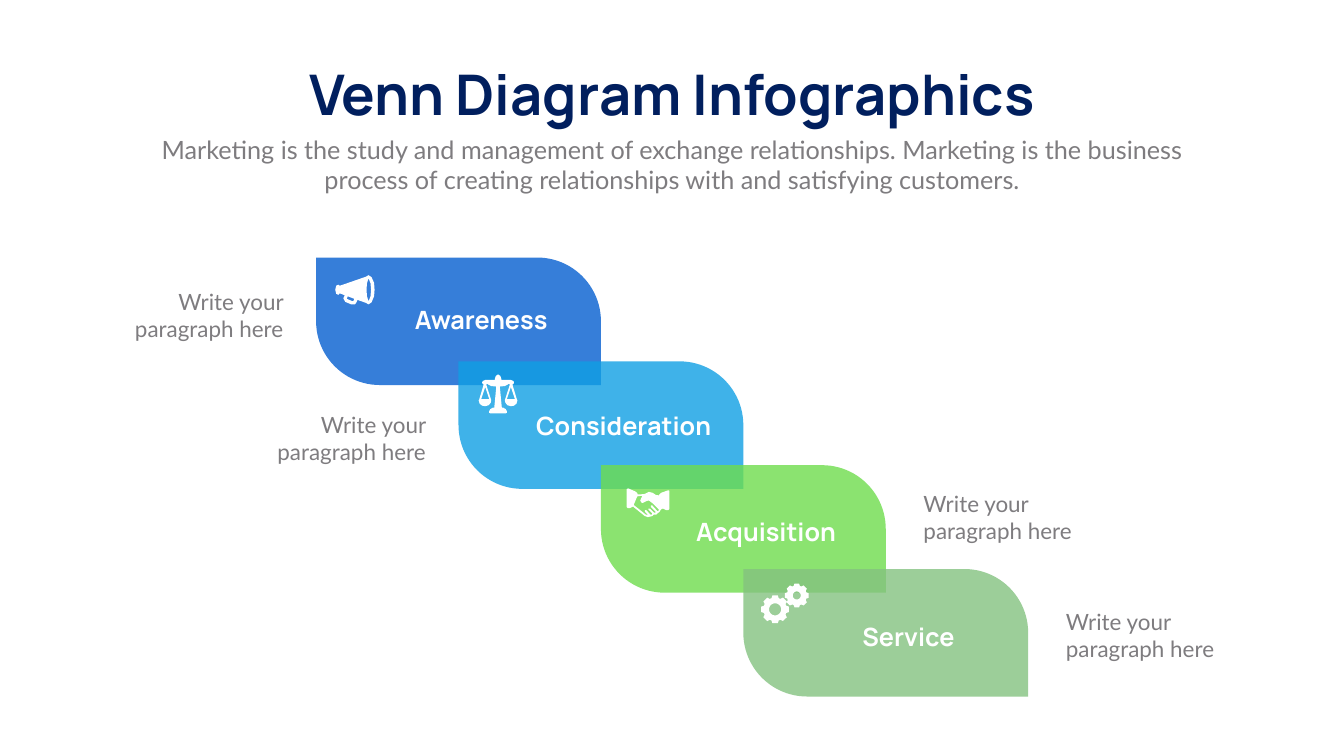
from dataclasses import dataclass
from math import cos, radians, sin

from lxml import etree
from pptx import Presentation
from pptx.dml.color import RGBColor
from pptx.enum.shapes import MSO_SHAPE
from pptx.enum.text import MSO_ANCHOR, MSO_AUTO_SIZE, PP_ALIGN
from pptx.oxml.ns import qn
from pptx.util import Inches, Pt

LEFT, CENTER, RIGHT = PP_ALIGN.LEFT, PP_ALIGN.CENTER, PP_ALIGN.RIGHT
TOP = MSO_ANCHOR.TOP
GROW = MSO_AUTO_SIZE.SHAPE_TO_FIT_TEXT
PETAL = MSO_SHAPE.ROUND_2_DIAG_RECTANGLE
TITLE_ONLY = 5


@dataclass(frozen=True)
class Style:
    font: str
    size: int
    color: str
    bold: bool = False


class Theme:
    white = "FFFFFF"
    petal_opacity = 80
    title = Style("Manrope", 80, "011F5E", True)
    subtitle = Style("Lato", 36, "7E7C7F")
    label = Style("Manrope", 36, white, True)
    note = Style("Lato", 32, "7E7C7F")


@dataclass(frozen=True)
class Stage:
    """Offsets are inches from the top left corner of the petal."""
    name: str
    color: str
    label_top: float
    note_top: float
    note_side: PP_ALIGN
    icon_at: tuple
    icon: list


def circle(x, y, radius, count=32):
    return [(x + radius * cos(radians(360 * i / count)),
             y + radius * sin(radians(360 * i / count))) for i in range(count)]


def gear(x, y, radius, hole, teeth=8):
    tooth = ((-18, 0.83), (-11, 1), (11, 1), (18, 0.83))
    outline = []
    for i in range(teeth):
        for turn, share in tooth:
            angle = radians(360 * i / teeth + turn)
            outline.append((x + radius * share * cos(angle),
                            y + radius * share * sin(angle)))
    return [outline, circle(x, y, hole)]


def mirror(points, width):
    return [(width - x, y) for x, y in reversed(points)]


# Icon outlines in hundredths of an inch; inner contours are holes.
MEGAPHONE = [
    [(66, 0), (61, 3), (9, 21), (6, 19), (2, 21), (0, 29), (2, 37), (6, 39),
     (9, 36), (19, 40), (16, 46), (20, 53), (32, 58), (39, 58), (42, 54),
     (44, 49), (61, 55), (66, 58), (72, 54), (77, 42), (78, 29), (77, 15),
     (72, 4)],
    [(36, 51), (35, 52), (23, 47), (23, 46), (25, 42), (38, 47)],
    [(66, 52), (63, 42), (62, 29), (63, 16), (66, 6), (70, 16), (71, 29),
     (70, 42)],
]
SCALES_WIDTH = 77
HALF_SCALES = [
    (38.5, 0), (34, 3), (32, 9), (32, 11), (13, 11), (8, 13), (7, 16), (8, 19),
    (10, 20), (1, 50), (0, 51), (2, 58), (7, 62), (13, 63), (20, 61), (24, 56),
    (25, 51), (15, 20), (17, 19), (25, 23), (35, 24), (31, 66), (28, 66),
    (23, 69), (21, 73), (21, 76), (23, 77)]
PAN_GAP = [(5, 49), (13, 25), (21, 49)]
SCALES = [HALF_SCALES + mirror(HALF_SCALES, SCALES_WIDTH),
          PAN_GAP, mirror(PAN_GAP, SCALES_WIDTH)]
HANDSHAKE = [
    [(84, 4), (82, 4), (68, 9), (64, 13), (64, 14), (58, 13), (52, 9), (44, 7),
     (36, 11), (27, 12), (22, 12), (21, 9), (17, 6), (3, 0), (1, 1), (0, 2),
     (0, 37), (2, 39), (7, 39), (13, 36), (15, 38), (36, 55), (42, 57),
     (47, 56), (51, 55), (54, 52), (59, 52), (62, 49), (65, 47), (68, 42),
     (72, 40), (78, 43), (83, 43), (85, 41), (85, 6)],
    [(63, 45), (61, 45), (51, 34), (48, 34), (48, 37), (58, 47), (57, 48),
     (54, 48), (46, 40), (43, 40), (43, 42), (51, 50), (50, 52), (47, 52),
     (39, 43), (36, 43), (36, 46), (43, 53), (38, 52), (23, 40), (14, 33),
     (21, 16), (27, 15), (31, 15), (27, 24), (29, 28), (32, 29), (40, 25),
     (44, 24), (52, 30), (64, 42)],
]
GEARS = gear(28, 51, 28, 12) + gear(71, 23.5, 24, 8)

STAGES = [
    Stage("Awareness", "045ED0", 0.88, 0.56, LEFT, (0.38, 0.35), MEGAPHONE),
    Stage("Consideration", "109FE4", 0.93, 0.93, LEFT, (0.4, 0.26), SCALES),
    Stage("Acquisition", "6EDD4D", 0.97, 0.44, RIGHT, (0.51, 0.46), HANDSHAKE),
    Stage("Service", "84C280", 0.99, 0.72, RIGHT, (0.35, 0.29), GEARS),
]


def write(shape, text, style, align, wrap=True):
    frame = shape.text_frame
    frame.word_wrap = wrap
    frame.auto_size = GROW
    frame.vertical_anchor = TOP
    paragraph = frame.paragraphs[0]
    paragraph.alignment = align
    run = paragraph.add_run()
    run.text = text
    run.font.name = style.font
    run.font.size = Pt(style.size)
    run.font.bold = style.bold
    run.font.color.rgb = RGBColor.from_string(style.color)


def add_text(slide, box, text, style, align):
    shape = slide.shapes.add_textbox(*map(Inches, box))
    write(shape, text, style, align)


def paint(shape, color):
    shape.shadow.inherit = False
    shape.fill.solid()
    shape.fill.fore_color.rgb = RGBColor.from_string(color)
    shape.line.fill.background()


def set_opacity(shape, percent):
    color = shape.element.spPr.find(qn("a:solidFill")).find(qn("a:srgbClr"))
    etree.SubElement(color, qn("a:alpha")).set("val", str(percent * 1000))


def add_icon(slide, left, top, contours):
    builder = None
    for contour in contours:
        points = [(Inches(x / 100), Inches(y / 100)) for x, y in contour]
        if builder is None:
            builder = slide.shapes.build_freeform(*points[0])
        else:
            builder.move_to(*points[0])
        builder.add_line_segments(points[1:], close=True)
    paint(builder.convert_to_shape(Inches(left), Inches(top)), Theme.white)


def add_heading(slide, box):
    left, top, width, height = box
    title = slide.shapes.title
    title.left, title.top = Inches(left + 2.33), Inches(top)
    title.width, title.height = Inches(width - 4.66), Inches(1.45)
    write(title, "Venn Diagram Infographics", Theme.title, CENTER, wrap=False)
    add_text(slide, (left, top + 1.47, width, height - 1.47),
             "Marketing is the study and management of exchange relationships. "
             "Marketing is the business process of creating relationships with "
             "and satisfying customers.", Theme.subtitle, CENTER)


def add_stage(slide, box, stage):
    """Place a petal with its label and icon, and a note beside it."""
    left, top, width, height = box
    petal = slide.shapes.add_shape(PETAL, *map(Inches, box))
    petal.adjustments[0], petal.adjustments[1] = 0, 0.5
    paint(petal, stage.color)
    set_opacity(petal, Theme.petal_opacity)

    add_text(slide, (left + 1.2, top + stage.label_top, 4.15, 0.71),
             stage.name, Theme.label, CENTER)

    note_width = 3.66
    if stage.note_side == LEFT:
        note_left, align = left - 0.55 - note_width, RIGHT
    else:
        note_left, align = left + width + 0.65, LEFT
    add_text(slide, (note_left, top + stage.note_top, note_width, 1.18),
             "Write your paragraph here", Theme.note, align)

    icon_left, icon_top = stage.icon_at
    add_icon(slide, left + icon_left, top + icon_top, stage.icon)


def add_staircase(slide, left, top):
    width, height, drop = 5.65, 2.53, 2.06
    for i, stage in enumerate(STAGES):
        add_stage(slide, (left + i * width / 2, top + i * drop, width, height), stage)


def main():
    presentation = Presentation()
    presentation.slide_width = Inches(26.66)
    presentation.slide_height = Inches(15)
    slide = presentation.slides.add_slide(presentation.slide_layouts[TITLE_ONLY])
    add_heading(slide, (2.92, 1.14, 20.82, 2.78))
    add_staircase(slide, 6.27, 5.11)
    presentation.save("out.pptx")


if __name__ == "__main__":
    main()
